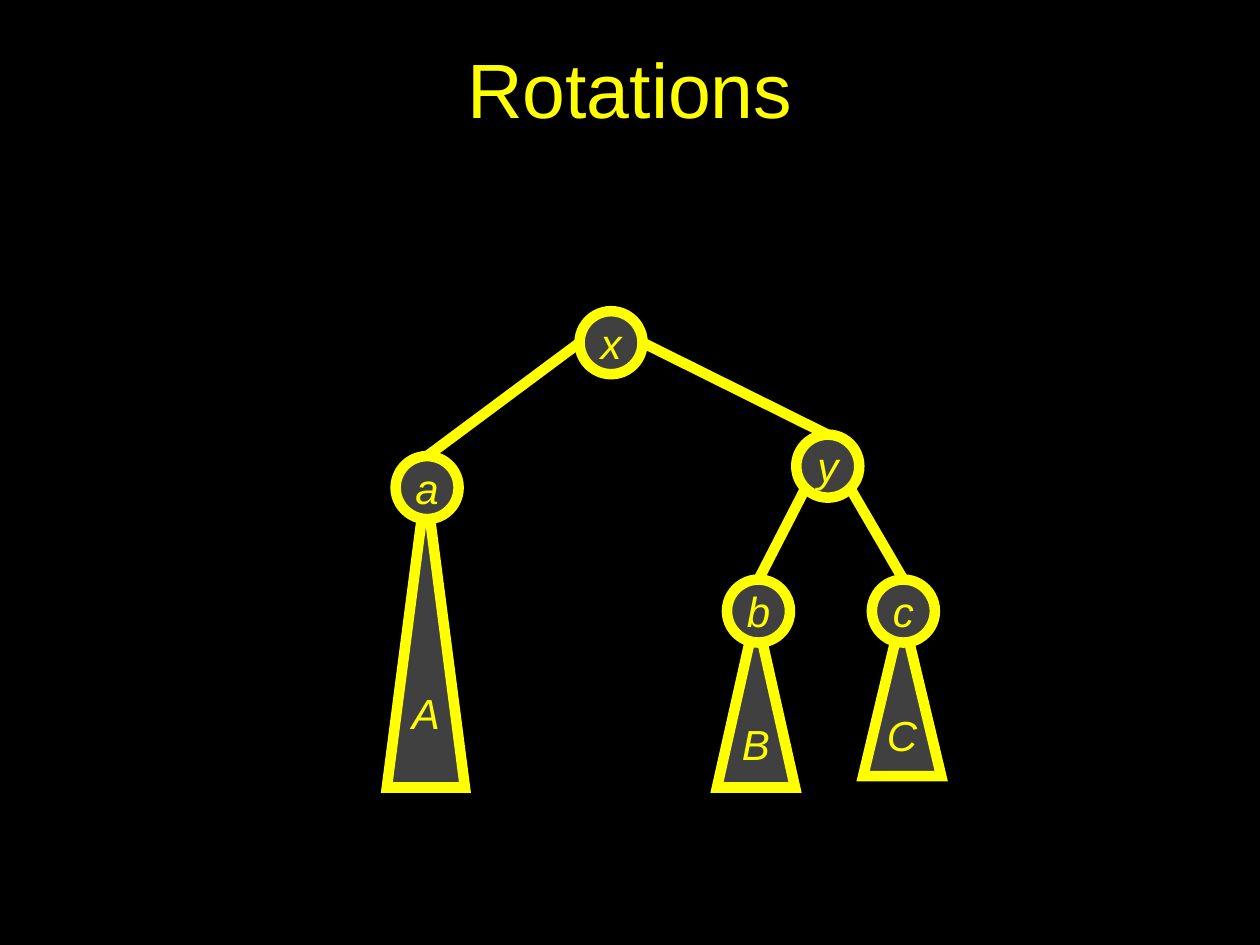
from lxml import etree
from pptx import Presentation
from pptx.dml.color import RGBColor
from pptx.enum.shapes import MSO_CONNECTOR, MSO_SHAPE
from pptx.enum.text import MSO_ANCHOR, PP_ALIGN
from pptx.oxml.ns import qn
from pptx.util import Inches, Pt

YELLOW, GRAY, BLACK = "FFFF00", "404040", "000000"
SIZE = 0.5
BASE = 0.62
NODES = {"x": (4.85, 2.72), "a": (3.39, 3.87), "y": (6.57, 3.7),
         "b": (6.02, 4.85), "c": (7.17, 4.85)}
SIDES = {"left": (-0.25, 0), "right": (0.25, 0),
         "lower left": (-0.18, 0.18), "lower right": (0.18, 0.18)}
EDGES = [("x", "right", "y"), ("x", "left", "a"),
         ("y", "lower left", "b"), ("y", "lower right", "c")]
SUBTREES = [("B", 6.0, 4.87, 6.25), ("A", 3.38, 3.86, 6.25), ("C", 7.16, 4.86, 6.16)]


def color(value):
    """Turn a hex string into a colour."""
    return RGBColor.from_string(value)


def style_line(line):
    """Give a line the thick yellow stroke."""
    line.color.rgb = color(YELLOW)
    line.width = Pt(6)


def write(tf, text, size, italic=False):
    """Write one centred yellow run."""
    tf.vertical_anchor = MSO_ANCHOR.MIDDLE
    p = tf.paragraphs[0]
    p.alignment = PP_ALIGN.CENTER
    r = p.add_run()
    r.text = text
    r.font.name = "Arial"
    r.font.size = Pt(size)
    r.font.italic = italic
    r.font.color.rgb = color(YELLOW)


def add_title(s, text):
    """Fill the title placeholder."""
    sp = s.shapes.title
    sp.left, sp.top, sp.width, sp.height = map(Inches, (0, 0.07, 10, 1.25))
    write(sp.text_frame, text, 44)


def add_edge(s, parent, side, child):
    """Draw a line from a side of the parent to the top of the child."""
    (px, py), (dx, dy), (cx, cy) = NODES[parent], SIDES[side], NODES[child]
    ends = map(Inches, (px + dx, py + dy, cx, cy - SIZE / 2))
    sp = s.shapes.add_connector(MSO_CONNECTOR.STRAIGHT, *ends)
    style_line(sp.line)
    etree.SubElement(sp._element.spPr, qn("a:effectLst"))


def add_labelled(s, kind, text, left, top, width, height):
    """Add an outlined gray shape with an italic label."""
    sp = s.shapes.add_shape(kind, *map(Inches, (left, top, width, height)))
    sp.shadow.inherit = False
    sp.fill.solid()
    sp.fill.fore_color.rgb = color(GRAY)
    style_line(sp.line)
    tf = sp.text_frame
    tf.word_wrap = False
    write(tf, text, 24, italic=True)
    return sp


def add_node(s, text, cx, cy):
    """Add a round node about its centre."""
    sp = add_labelled(s, MSO_SHAPE.OVAL, text, cx - SIZE / 2, cy - SIZE / 2, SIZE, SIZE)
    tf = sp.text_frame
    tf.margin_left = tf.margin_right = tf.margin_top = tf.margin_bottom = 0


def add_subtree(s, text, cx, top, bottom):
    """Add a sharp-cornered triangle below a node."""
    sp = add_labelled(s, MSO_SHAPE.ISOSCELES_TRIANGLE, text,
                      cx - BASE / 2, top, BASE, bottom - top)
    ln = sp._element.spPr.find(qn("a:ln"))
    etree.SubElement(ln, qn("a:miter"), lim="800000")


def main():
    """Build the slide with the search tree."""
    prs = Presentation()
    prs.slide_width, prs.slide_height = Inches(10), Inches(7.5)
    s = prs.slides.add_slide(prs.slide_layouts[5])
    s.background.fill.solid()
    s.background.fill.fore_color.rgb = color(BLACK)
    add_title(s, "Rotations")
    for edge in EDGES:
        add_edge(s, *edge)
    for subtree in SUBTREES:
        add_subtree(s, *subtree)
    for text, center in NODES.items():
        add_node(s, text, *center)
    prs.save("out.pptx")


if __name__ == "__main__":
    main()
